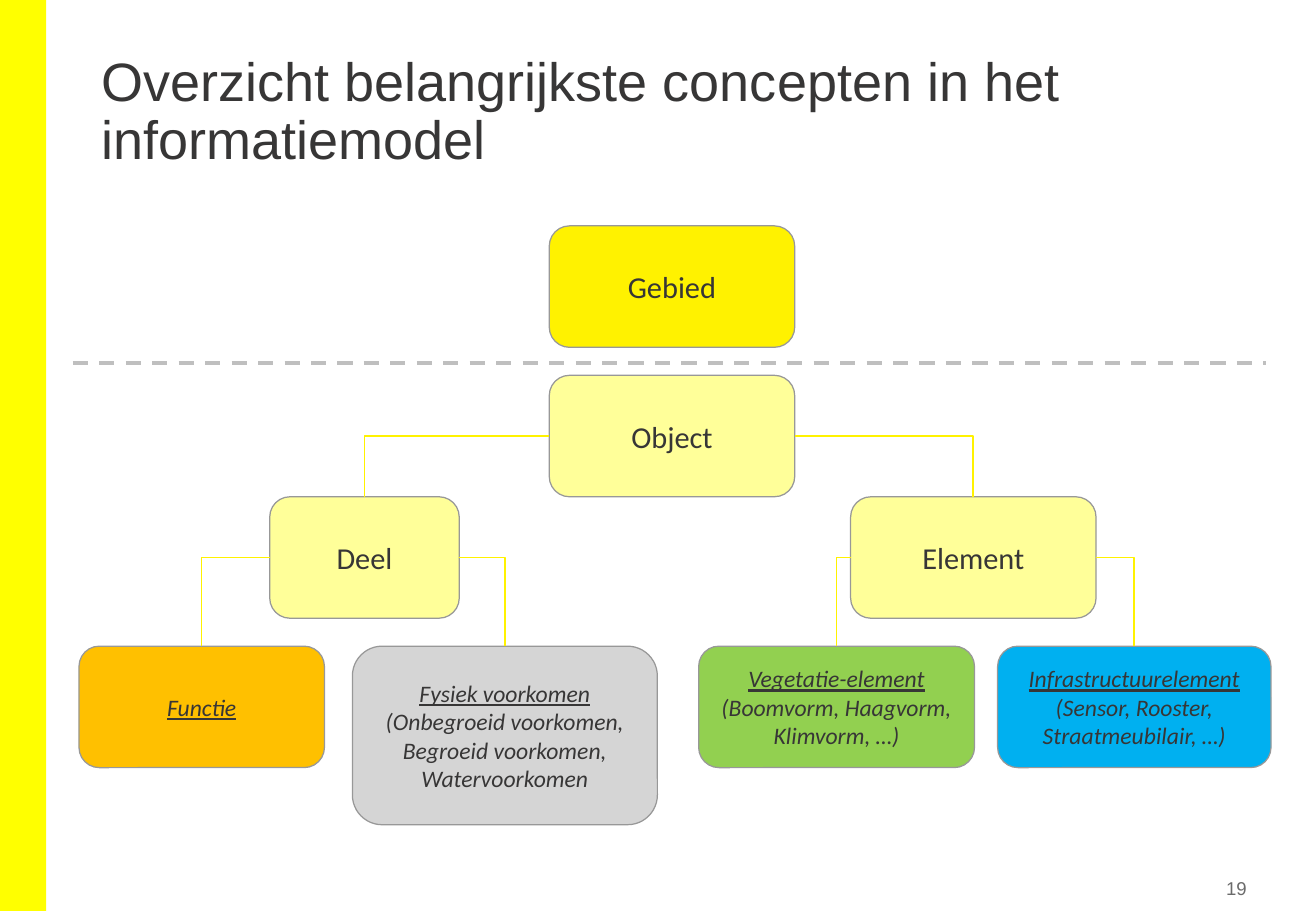
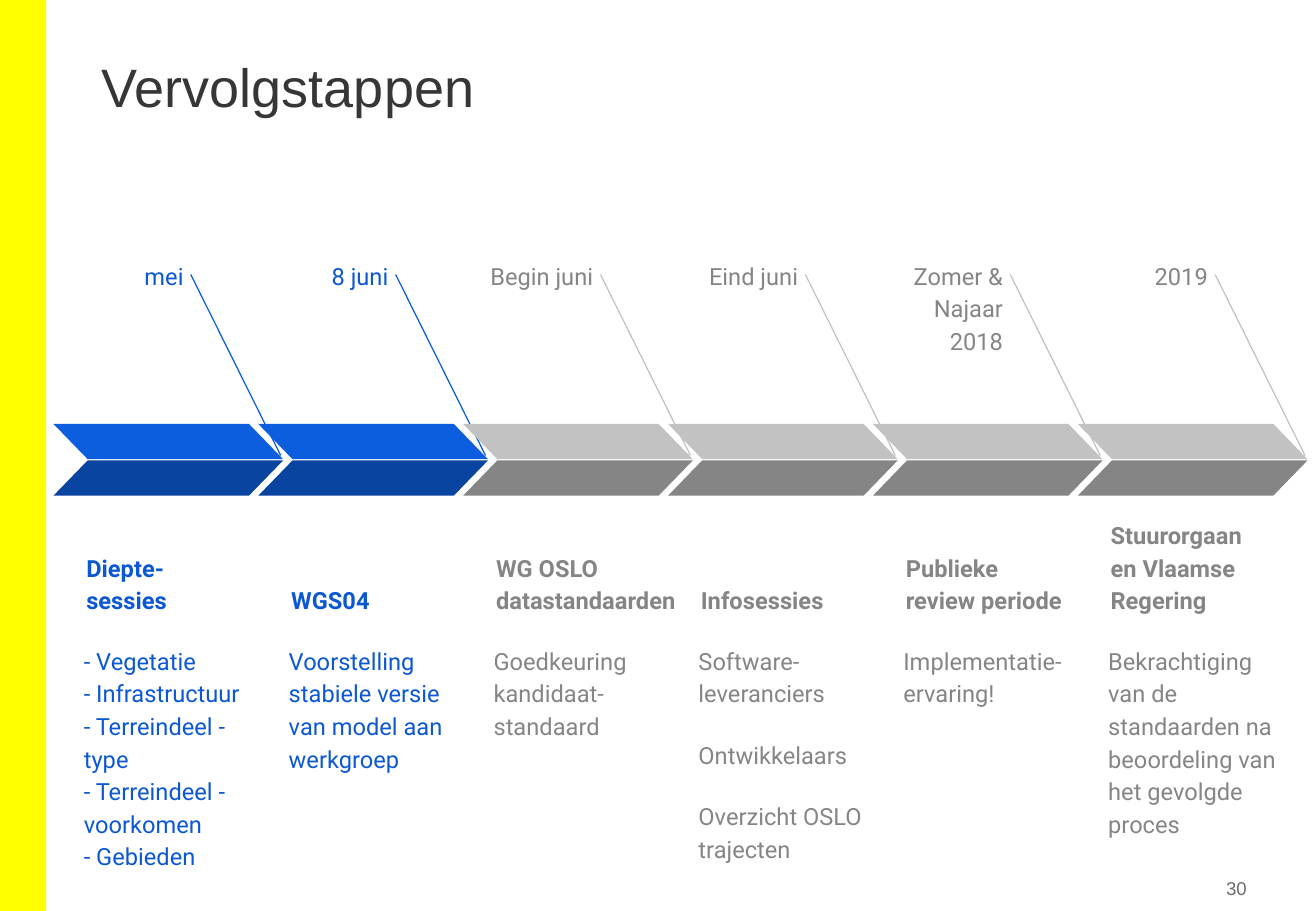
from pptx import Presentation, util as u
from pptx.dml.color import RGBColor
from pptx.enum import dml, shapes, text
from pptx.oxml.ns import qn
from lxml import etree

W, H = 10.83, 7.5
INK, BLUE, GREY = "373636", "0C58D3", "858585"
YELLOW, PALE = "FFF200", "FFFF99"
L, C, R = text.PP_ALIGN.LEFT, text.PP_ALIGN.CENTER, text.PP_ALIGN.RIGHT
TOP, MID, LOW = (text.MSO_ANCHOR.TOP, text.MSO_ANCHOR.MIDDLE,
                 text.MSO_ANCHOR.BOTTOM)
SHAPE, LINE = shapes.MSO_SHAPE, shapes.MSO_CONNECTOR


def rgb(value):
    return RGBColor.from_string(value)


def write(sp, words, size, color, font, align=L, anchor=TOP, inset=(0.1, 0.05),
          spacing=1.0, before=0, bold=False):
    """Newlines part paragraphs, vertical tabs part lines."""
    tf = sp.text_frame
    tf.text = words
    tf.word_wrap = True
    tf.vertical_anchor = anchor
    tf.margin_left = tf.margin_right = u.Inches(inset[0])
    tf.margin_top = tf.margin_bottom = u.Inches(inset[1])
    for i, p in enumerate(tf.paragraphs):
        p.alignment, p.line_spacing = align, spacing
        p.space_before = u.Pt(before if i else 0)
        for r in p.runs:
            r.font.size, r.font.name, r.font.bold = u.Pt(size), font, bold
            r.font.color.rgb = rgb(color)


def add_text(parent, box, words, *args, **kw):
    sp = parent.shapes.add_textbox(*map(u.Inches, box))
    write(sp, words, *args, **kw)
    return sp


def add_box(parent, kind, box, fill, outline=None):
    sp = parent.shapes.add_shape(kind, *map(u.Inches, box))
    sp.shadow.inherit = False
    sp.fill.solid()
    sp.fill.fore_color.rgb = rgb(fill)
    if outline:
        sp.line.color.rgb = rgb(outline)
        sp.line.width = u.Pt(0.75)
    else:
        sp.line.fill.background()
    return sp


def add_line(parent, ends, color, width, kind=LINE.STRAIGHT):
    c = parent.shapes.add_connector(kind, *map(u.Inches, ends))
    c.line.color.rgb = rgb(color)
    c.line.width = u.Pt(width)
    etree.SubElement(c._element.spPr, qn("a:effectLst"))
    return c


def new_slide(prs, title, number, title_inset):
    """Yellow band, title and page number."""
    s = prs.slides.add_slide(prs.slide_layouts[6])
    add_box(s, SHAPE.RECTANGLE, (0, 0, 0.38, H), "FFFF00")
    add_text(s, (0.74, 0.4, 9.34, 1.08), title, 32, INK, "Arial",
             inset=(0.1, title_inset), spacing=0.9)
    add_text(s, (9.5, 7.17, 0.81, 0.29), number, 11, "6B6B6B", "Arial",
             R, MID, (0.05, 0.05))
    return s


# Concept tree: name, row, left, width, height, fill, parent, examples
ROWS = (0, 1.23, 2.23, 3.46)
NODES = [
    ("Gebied", 0, 3.87, 2.02, 1, YELLOW, None, ""),
    ("Object", 1, 3.87, 2.02, 1, PALE, None, ""),
    ("Deel", 2, 1.57, 1.56, 1, PALE, "Object", ""),
    ("Element", 2, 6.35, 2.02, 1, PALE, "Object", ""),
    ("Functie", 3, 0, 2.02, 1, "FFC000", "Deel", ""),
    ("Fysiek voorkomen", 3, 2.25, 2.51, 1.47, "D5D5D5", "Deel",
     "(Onbegroeid voorkomen, Begroeid voorkomen, Watervoorkomen"),
    ("Vegetatie-element", 3, 5.1, 2.27, 1, "92D050", "Element",
     "(Boomvorm, Haagvorm, Klimvorm, …)"),
    ("Infrastructuurelement", 3, 7.56, 2.25, 1, "00B0F0", "Element",
     "(Sensor, Rooster, Straatmeubilair, …)"),
]


def add_branch(s, parent, child):
    """Elbow from the parent's side to the child's top."""
    c = add_line(s, (0, 0, 0, 0), YELLOW, 1, LINE.ELBOW)
    c._element.spPr.find(qn("a:prstGeom")).set("prst", "bentConnector2")
    c.begin_connect(parent, 1 if child.left < parent.left else 3)
    c.end_connect(child, 0)


def concept_tree(s, left, top):
    placed = {}
    for name, row, x, w, h, fill, parent, examples in NODES:
        sp = add_box(s, SHAPE.ROUNDED_RECTANGLE,
                     (left + x, top + ROWS[row], w, h), fill, "989898")
        leaf = row == 3
        write(sp, f"{name}\n{examples}" if examples else name,
              14 if leaf else 18, INK, "Calibri", C, MID)
        if leaf:
            for i, p in enumerate(sp.text_frame.paragraphs):
                p.runs[0].font.italic = True
                p.runs[0].font.underline = i == 0
        placed[name] = sp
        if parent:
            add_branch(s, placed[parent], sp)
    y = top + 1.13
    divider = add_line(s, (left - 0.05, y, left + 9.77, y), "BFBFBF", 2.25)
    divider.line.dash_style = dml.MSO_LINE.DASH


# Timeline: date, heading, details
STEPS = [
    ("mei", "Diepte-\vsessies",
     "- Vegetatie\v- Infrastructuur\v- Terreindeel - type\v"
     "- Terreindeel - voorkomen\v- Gebieden"),
    ("8 juni", "WGS04", "Voorstelling stabiele versie van model aan werkgroep"),
    ("Begin juni", "WG OSLO datastandaarden",
     "Goedkeuring kandidaat-\vstandaard"),
    ("Eind juni", "Infosessies",
     "Software-\vleveranciers\nOntwikkelaars\nOverzicht OSLO trajecten"),
    ("Zomer & Najaar 2018", "Publieke review periode",
     "Implementatie-\vervaring!"),
    ("2019", "Stuurorgaan en Vlaamse Regering",
     "Bekrachtiging van de standaarden na beoordeling van het gevolgde proces"),
]
STEP_COLORS = {True: (BLUE, "0D5DDF", "0944A1"), False: (GREY, "C2C2C2", GREY)}


def timeline_step(s, x, y, step, active):
    date, heading, details = step
    ink, light, dark = STEP_COLORS[active]
    g = s.shapes.add_group_shape()

    def label(box, words, **kw):
        add_text(g, box, words, 14, ink, "Roboto", inset=(0.11, 0.11),
                 spacing=1.15, **kw)

    label((x, y, 1.18, 0.48), date, align=R)
    heading_w = 1.71 if "datastandaarden" in heading else 1.55
    label((x + 0.16, y + 2.26, heading_w, 0.9), heading, anchor=LOW, bold=True)
    label((x + 0.14, y + 3.17, 1.75, 1.48), details, before=17)
    add_line(g, (x + 1.13, y + 0.25, x + 1.87, y + 1.74), light, 0.75)
    # Arrow from two mirrored halves
    for dy, fill in ((1.48, light), (1.78, dark)):
        half = add_box(g, SHAPE.PARALLELOGRAM, (x, y + dy, 1.89, 0.29), fill)
        half.adjustments[0] = 0.97
        if fill == light:
            half._element.spPr.find(qn("a:xfrm")).set("flipH", "1")


def timeline(s, left, top, width):
    pitch = (width - 1.89) / (len(STEPS) - 1)
    for i, step in enumerate(STEPS):
        timeline_step(s, left + i * pitch, top, step, active=i < 2)


def main():
    prs = Presentation()
    prs.slide_width, prs.slide_height = u.Inches(W), u.Inches(H)
    s = new_slide(prs, "Overzicht belangrijkste concepten in het informatiemodel",
                  "19", 0.05)
    concept_tree(s, 0.65, 1.86)
    s = new_slide(prs, "Vervolgstappen", "30", 0.1)
    timeline(s, 0.44, 2.01, 10.32)
    prs.save("out.pptx")


if __name__ == "__main__":
    main()
